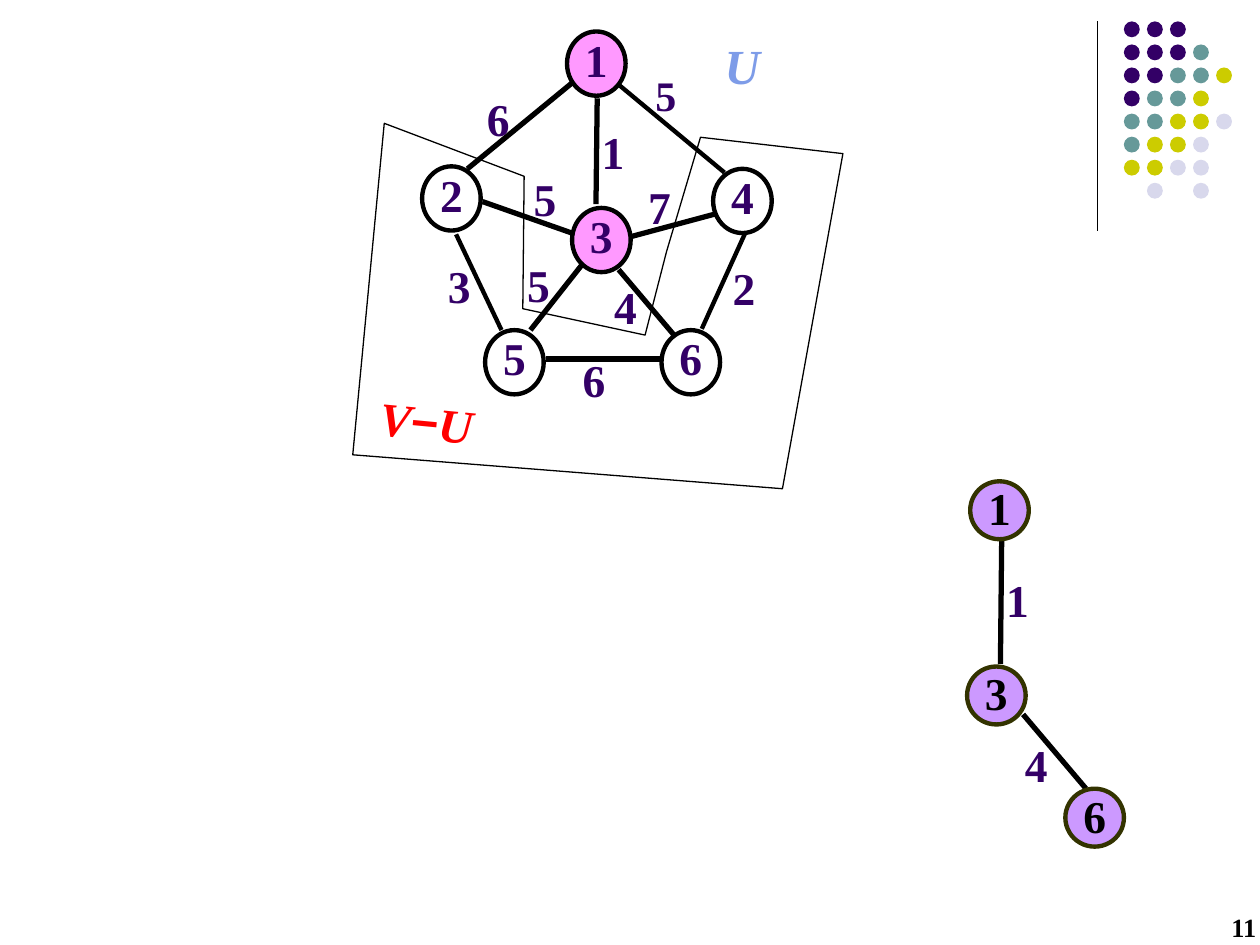
import math
from dataclasses import dataclass
from typing import Optional

from lxml import etree
from pptx import Presentation
from pptx.dml.color import RGBColor
from pptx.enum.shapes import MSO_CONNECTOR, MSO_SHAPE
from pptx.enum.text import MSO_ANCHOR, PP_ALIGN
from pptx.oxml.ns import qn
from pptx.util import Inches, Pt

OVAL = MSO_SHAPE.OVAL
STRAIGHT = MSO_CONNECTOR.STRAIGHT
MIDDLE = MSO_ANCHOR.MIDDLE
CENTER, RIGHT = PP_ALIGN.CENTER, PP_ALIGN.RIGHT
COLUMNS, ROWS = 100, 75  # the slide grid: square cells of a tenth of an inch


@dataclass(frozen=True)
class Theme:
    font: str = "Times New Roman"
    symbol_font: str = "Arial"
    black: str = "000000"
    white: str = "FFFFFF"
    purple: str = "330066"
    pink: str = "FF99FF"
    lilac: str = "CC99FF"
    olive: str = "333300"
    blue: str = "7E9CE8"
    red: str = "FF0000"
    teal: str = "669999"
    lime: str = "CCCC00"
    mist: str = "D8D8EC"
    number_size: float = 15
    weight_size: float = 26
    small_weight_size: float = 24
    set_size: float = 28
    difference_size: float = 27
    thin: float = 0.75
    medium: float = 2.5
    thick: float = 3


THEME = Theme()


@dataclass(frozen=True)
class Box:
    col: float
    row: float
    cols: float
    rows: float

    def emu(self) -> tuple:
        return tuple(grid(v) for v in (self.col, self.row, self.cols, self.rows))


@dataclass(frozen=True)
class Edge:
    start: tuple
    end: tuple
    width: float = THEME.thick


@dataclass(frozen=True)
class Label:
    text: str
    col: float
    row: float
    size: float = THEME.weight_size


@dataclass(frozen=True)
class Node:
    text: str
    col: float
    row: float
    fill: Optional[str] = None


@dataclass(frozen=True)
class NodeStyle:
    cols: float
    rows: float
    line: str
    color: str
    spacing: float


GRAPH_STYLE = NodeStyle(4.65, 5.1, THEME.black, THEME.purple, 26)
TREE_STYLE = NodeStyle(4.65, 4.6, THEME.olive, THEME.black, 28)

GRAPH_NODES = [
    Node("1", 45, 2.5, THEME.pink), Node("2", 33.5, 13.2), Node("4", 56.6, 13.4),
    Node("3", 45.4, 16.5, THEME.pink), Node("5", 38.5, 26.2), Node("6", 52.5, 26.2),
]
GRAPH_EDGES = [
    Edge((45.5, 6.5), (37.1, 13.4)),
    Edge((49.2, 6.8), (57.5, 13.7), THEME.medium),
    Edge((36.2, 18.6), (39.8, 26.2), THEME.medium),
    Edge((43.3, 28.5), (52.5, 28.5)),
    Edge((59.1, 18.6), (55.7, 26.1), THEME.medium),
    Edge((47.4, 7.8), (47.3, 16.2)),
    Edge((46.2, 21), (42.1, 26.2)),
    Edge((49.1, 21.4), (53.5, 26.6)),
    Edge((50, 18.8), (56.7, 17)),
    Edge((38.3, 16), (45.4, 18.5)),
]
GRAPH_WEIGHTS = [
    Label("5", 51.2, 6.05, THEME.small_weight_size), Label("6", 37.9, 7.95),
    Label("1", 47, 10.6), Label("7", 50.7, 14.9), Label("6", 45.5, 28.7),
    Label("5", 41.6, 14.3), Label("4", 48, 22.9), Label("2", 57.4, 21.4),
    Label("5", 41.1, 21.1), Label("3", 34.8, 21.2),
]

TREE_NODES = [Node("1", 77, 38.2, THEME.lilac), Node("3", 76.75, 52.9, THEME.lilac),
              Node("6", 84.55, 62.6, THEME.lilac)]
TREE_EDGES = [Edge((79.5, 42.8), (79.4, 52.7)), Edge((81.2, 56.7), (86.2, 62.6))]
TREE_WEIGHTS = [Label("1", 79.1, 46.1), Label("4", 80.6, 59.2)]

DOT_COLORS = {"p": THEME.purple, "t": THEME.teal, "l": THEME.lime, "m": THEME.mist}
DOT_ROWS = ["ppp", "pppt", "ppttl", "pttl", "ttllm", "tllm", "llmm", " m m"]
DOT_PITCH, DOT_SIZE = 1.83, 1.26

CUT_OUTLINE = [(30.5, 9.8), (41.6, 14), (41.5, 24.5), (51.2, 26.6), (52.9, 20),
               (55.6, 10.9), (66.9, 12.2), (62.1, 38.8), (28, 36.1)]
CUT_CENTER, CUT_TILT = (47.45, 23.95), 4.5


def grid(cells: float) -> int:
    return Inches(round(cells * 10 / COLUMNS, 3))


def rgb(value: str) -> RGBColor:
    return RGBColor.from_string(value)


def write(sp, runs, color, size, align=CENTER, spacing=None, wrap=True) -> None:
    """Fill a shape with one paragraph of (text, font, italic) runs."""
    tf = sp.text_frame
    tf.word_wrap = wrap
    tf.vertical_anchor = MIDDLE
    tf.margin_left = tf.margin_right = tf.margin_top = tf.margin_bottom = 0
    p = tf.paragraphs[0]
    p.alignment = align
    if spacing:
        p.line_spacing = Pt(spacing)
    for text, font, italic in runs:
        r = p.add_run()
        r.text = text
        r.font.name, r.font.size = font, Pt(size)
        r.font.bold, r.font.italic = True, italic
        r.font.color.rgb = rgb(color)


def add_text(shapes, box: Box, runs, color, size, **layout):
    sp = shapes.add_textbox(*box.emu())
    write(sp, runs, color, size, **layout)
    return sp


def paint(sp, fill: Optional[str], line: Optional[str], width: float = 0) -> None:
    sp.shadow.inherit = False
    if fill:
        sp.fill.solid()
        sp.fill.fore_color.rgb = rgb(fill)
    else:
        sp.fill.background()
    if line:
        sp.line.color.rgb, sp.line.width = rgb(line), Pt(width)
    else:
        sp.line.fill.background()


def add_edge(shapes, edge: Edge) -> None:
    c = shapes.add_connector(STRAIGHT, *(grid(v) for v in edge.start + edge.end))
    c.line.color.rgb, c.line.width = rgb(THEME.black), Pt(edge.width)
    etree.SubElement(c._element.spPr, qn("a:effectLst"))


def add_node(shapes, node: Node, style: NodeStyle) -> None:
    sp = shapes.add_shape(OVAL, *Box(node.col, node.row, style.cols, style.rows).emu())
    paint(sp, node.fill, style.line, THEME.medium)
    write(sp, [(node.text, THEME.font, False)], style.color, THEME.weight_size,
          spacing=style.spacing, wrap=False)


def add_network(shapes, edges, nodes, weights, style: NodeStyle) -> None:
    group = shapes.add_group_shape().shapes
    for edge in edges:
        add_edge(group, edge)
    for node in nodes:
        add_node(group, node, style)
    for w in weights:
        add_text(group, Box(w.col, w.row, 3.3, 3.6), [(w.text, THEME.font, False)],
                 THEME.purple, w.size, spacing=w.size)


def add_dots(shapes) -> None:
    group = shapes.add_group_shape().shapes
    for row, codes in enumerate(DOT_ROWS):
        for col, code in enumerate(codes):
            if code in DOT_COLORS:
                box = Box(89.2 + col * DOT_PITCH, 1.7 + row * DOT_PITCH, DOT_SIZE, DOT_SIZE)
                paint(group.add_shape(OVAL, *box.emu()), DOT_COLORS[code], None)


def add_cut(shapes) -> None:
    """Draw the outline of V−U upright, then tilt it into place."""
    cx, cy = CUT_CENTER
    cos, sin = math.cos(math.radians(CUT_TILT)), math.sin(math.radians(CUT_TILT))
    points = [(grid(cx + (x - cx) * cos + (y - cy) * sin),
               grid(cy - (x - cx) * sin + (y - cy) * cos)) for x, y in CUT_OUTLINE]
    builder = shapes.build_freeform(*points[0])
    builder.add_line_segments(points[1:], close=True)
    sp = builder.convert_to_shape()
    sp.rotation = CUT_TILT
    paint(sp, THEME.white, THEME.black, THEME.thin)


def main() -> None:
    prs = Presentation()
    prs.slide_width, prs.slide_height = grid(COLUMNS), grid(ROWS)
    shapes = prs.slides.add_slide(prs.slide_layouts[6]).shapes

    add_edge(shapes, Edge((87.1, 1.7), (87.1, 18.3), THEME.thin))
    add_dots(shapes)
    add_cut(shapes)
    add_text(shapes, Box(96.9, 72.1, 2.8, 2.9), [("11", THEME.font, False)],
             THEME.black, THEME.number_size, align=RIGHT)
    add_text(shapes, Box(57, 2.8, 3.8, 4.7), [("U", THEME.font, True)],
             THEME.blue, THEME.set_size)
    difference = add_text(
        shapes, Box(29, 31.2, 9.7, 4.5),
        [("V", THEME.font, True), ("−", THEME.symbol_font, False), ("U", THEME.font, True)],
        THEME.red, THEME.difference_size)
    difference.rotation = 5.5

    add_network(shapes, GRAPH_EDGES, GRAPH_NODES, GRAPH_WEIGHTS, GRAPH_STYLE)
    add_network(shapes, TREE_EDGES, TREE_NODES, TREE_WEIGHTS, TREE_STYLE)
    prs.save("out.pptx")


if __name__ == "__main__":
    main()
